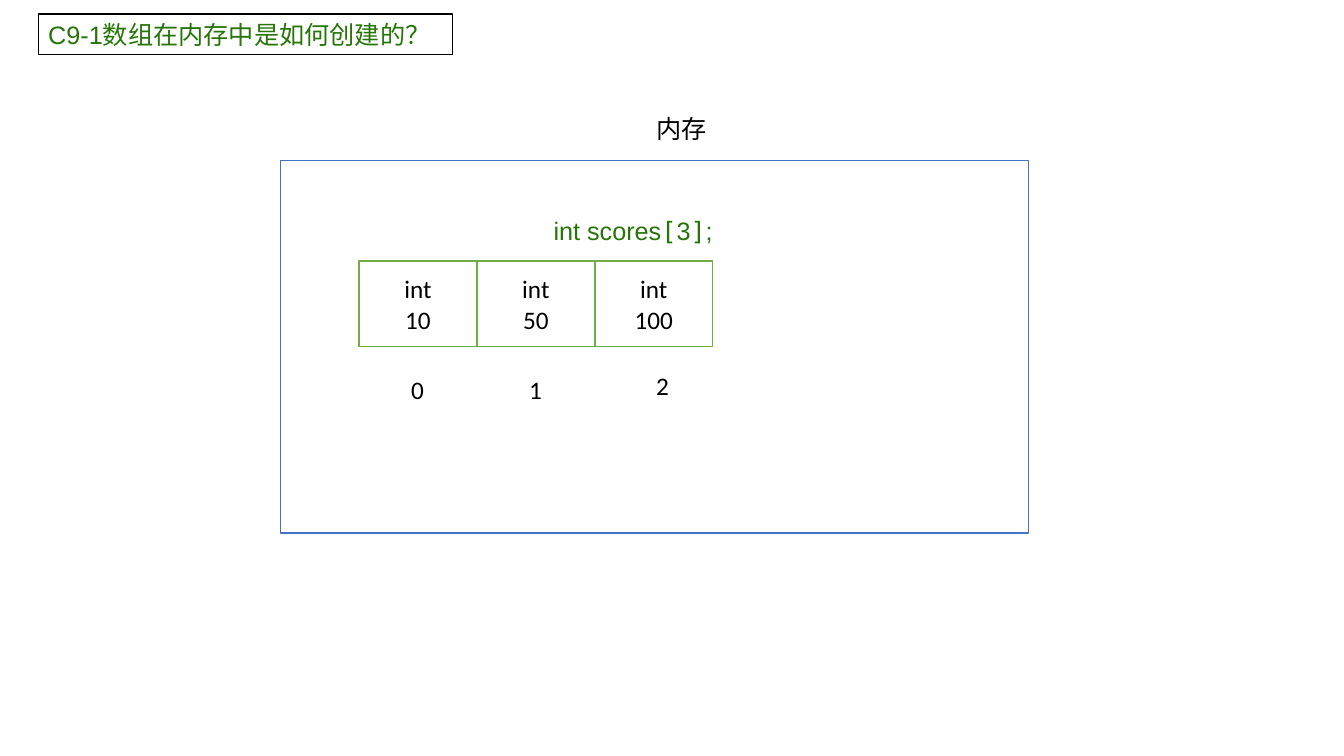
from pptx import Presentation
from pptx.dml.color import RGBColor
from pptx.enum.shapes import MSO_SHAPE
from pptx.enum.text import MSO_ANCHOR, PP_ALIGN
from pptx.util import Inches, Pt


def color(value):
    return RGBColor.from_string(value)


class SlideBuilder:
    white = "FFFFFF"
    black = "000000"
    green = "267507"
    memory_blue = "4472C4"
    cell_green = "70AD47"
    size = 18
    body_font = "Calibri"
    title_font = "Arial"
    code_font = "DejaVu Sans Mono"

    def __init__(self, slide):
        self.slide = slide

    def style(self, font, name, text_color):
        font.name = name
        font.size = Pt(self.size)
        font.color.rgb = color(text_color)

    def box(self, left, top, width, height, line_color):
        shape = self.slide.shapes.add_shape(
            MSO_SHAPE.RECTANGLE, Inches(left), Inches(top), Inches(width), Inches(height))
        shape.shadow.inherit = False
        shape.fill.solid()
        shape.fill.fore_color.rgb = color(self.white)
        shape.line.color.rgb = color(line_color)
        shape.line.width = Pt(1)
        return shape

    def fill_text(self, frame, lines, name, text_color, align):
        for index, line in enumerate(lines):
            paragraph = frame.add_paragraph() if index else frame.paragraphs[0]
            paragraph.text = line
            paragraph.alignment = align
            self.style(paragraph.font, name, text_color)

    def title(self, text, left, top, width, height):
        frame = self.box(left, top, width, height, self.black).text_frame
        frame.word_wrap = False
        frame.vertical_anchor = MSO_ANCHOR.TOP
        self.fill_text(frame, [text], self.title_font, self.green, PP_ALIGN.LEFT)

    def cell(self, lines, left, top, width, height):
        frame = self.box(left, top, width, height, self.cell_green).text_frame
        frame.vertical_anchor = MSO_ANCHOR.MIDDLE
        self.fill_text(frame, lines, self.body_font, self.black, PP_ALIGN.CENTER)

    def text_frame(self, left, top, width, height):
        textbox = self.slide.shapes.add_textbox(
            Inches(left), Inches(top), Inches(width), Inches(height))
        textbox.text_frame.word_wrap = False
        return textbox.text_frame

    def label(self, text, left, top, width, height):
        frame = self.text_frame(left, top, width, height)
        self.fill_text(frame, [text], self.body_font, self.black, PP_ALIGN.LEFT)

    def code(self, parts, left, top, width, height, indent):
        frame = self.text_frame(left, top, width, height)
        frame.margin_left = Inches(indent)
        for part in parts:
            run = frame.paragraphs[0].add_run()
            run.text = part
            name = self.code_font if part in "[]" else self.title_font
            self.style(run.font, name, self.green)


def main():
    presentation = Presentation()
    presentation.slide_width = Inches(13.33)
    presentation.slide_height = Inches(7.5)
    builder = SlideBuilder(presentation.slides.add_slide(presentation.slide_layouts[6]))

    builder.title("C9-1数组在内存中是如何创建的？", 0.38, 0.14, 4.11, 0.4)
    builder.box(2.78, 1.59, 7.42, 3.7, builder.memory_blue)
    builder.label("内存", 6.41, 1.08, 0.71, 0.4)

    cell_left, cell_width = 3.56, 1.17
    for index, score in enumerate(["10", "50", "100"]):
        builder.cell(["int", score], cell_left + index * cell_width, 2.59, cell_width, 0.85)

    builder.code(["int scores", "[", "3", "]", ";"], 5.24, 2.09, 1.96, 0.4, 0.25)

    for index, (left, top) in enumerate([(3.98, 3.66), (5.15, 3.66), (6.41, 3.62)]):
        builder.label(str(index), left, top, 0.33, 0.71)

    presentation.save("out.pptx")


if __name__ == "__main__":
    main()
